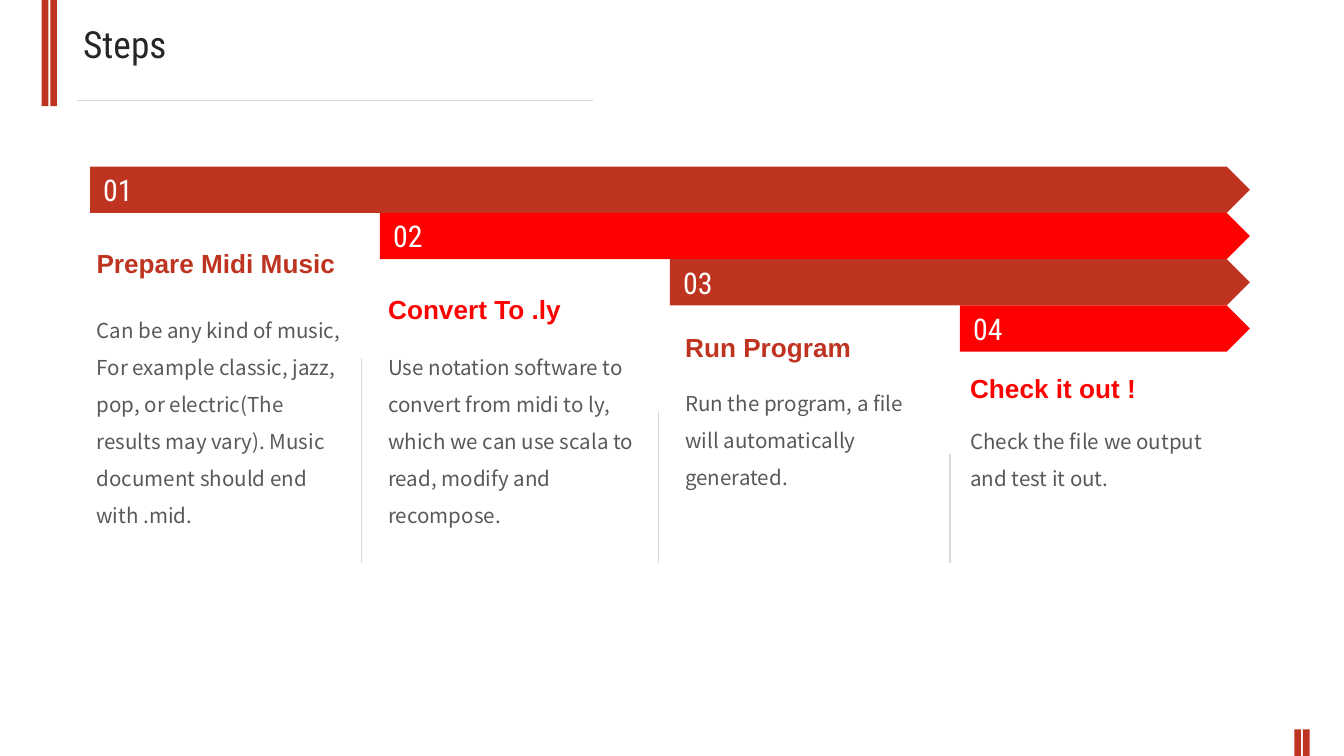
from pptx import Presentation, util as u
from pptx.dml.color import RGBColor
from pptx.enum import shapes, text
from pptx.oxml import ns
from lxml import etree

BRICK, RED, WHITE = "BF3420", "FF0000", "FFFFFF"
INK, GREY, RULE = "262626", "595959", "D9D9D9"
CONDENSED, BOLD_FACE, BODY_FACE = "Roboto Condensed", "Arial", "Noto Sans CJK SC"


def colour(hex_value):
    return RGBColor.from_string(hex_value)


def write(frame, *paragraphs, size, face, ink, bold=False, spacing=None,
          anchor=text.MSO_ANCHOR.TOP):
    frame.word_wrap = True
    frame.vertical_anchor = anchor
    for number, words in enumerate(paragraphs):
        paragraph = frame.add_paragraph() if number else frame.paragraphs[0]
        paragraph.alignment = text.PP_ALIGN.LEFT
        if spacing:
            paragraph.line_spacing = spacing
        run = paragraph.add_run()
        run.text = words
        run.font.size = u.Pt(size)
        run.font.name = face
        run.font.bold = bold
        run.font.color.rgb = colour(ink)


class Board:
    """Draws on one slide; every length is a percentage of its width or height."""

    def __init__(self, deck):
        self.width, self.height = deck.slide_width, deck.slide_height
        self.slide = deck.slides.add_slide(deck.slide_layouts[6])

    def place(self, x, y):
        return round(self.width * x / 100), round(self.height * y / 100)

    def block(self, x, y, w, h, fill, kind=shapes.MSO_SHAPE.RECTANGLE):
        block = self.slide.shapes.add_shape(kind, *self.place(x, y), *self.place(w, h))
        block.shadow.inherit = False
        block.fill.solid()
        block.fill.fore_color.rgb = colour(fill)
        block.line.fill.background()
        return block

    def arrow(self, x, y, w, h, fill, label):
        arrow = self.block(x, y, w, h, fill, shapes.MSO_SHAPE.PENTAGON)
        write(arrow.text_frame, label, size=16, face=CONDENSED, ink=WHITE,
              anchor=text.MSO_ANCHOR.MIDDLE)

    def words(self, x, y, w, h, *paragraphs, **style):
        box = self.slide.shapes.add_textbox(*self.place(x, y), *self.place(w, h))
        write(box.text_frame, *paragraphs, **style)

    def rule(self, x1, y1, x2, y2):
        rule = self.slide.shapes.add_connector(
            shapes.MSO_CONNECTOR.STRAIGHT, *self.place(x1, y1), *self.place(x2, y2))
        rule.line.color.rgb = colour(RULE)
        rule.line.width = u.Pt(0.75)
        etree.SubElement(rule._element.spPr, ns.qn("a:effectLst"))


# heading, body paragraphs, body lines, text left, heading top, body top
STEPS = [
    ("Prepare Midi Music",
     ["Can be any kind of music,",
      "For example classic, jazz, pop, or electric(The results may vary). "
      "Music document should end with .mid."], 6, 6.2, 31.8, 39.5),
    ("Convert To .ly",
     ["Use notation software to convert from midi to ly, which we can use "
      "scala to read, modify and recompose."], 5, 27.9, 37.9, 44.4),
    ("Run Program",
     ["Run the program, a file will automatically generated."], 3, 50, 43, 49.2),
    ("Check it out !",
     ["Check the file we output and test it out."], 2, 71.2, 48.4, 54.2),
]
DIVIDERS = [(26.9, 47.3), (49, 54.4), (70.7, 60.1)]
DIVIDER_END = 74.5
ARROW_LEFT, ARROW_TIP, ARROW_TOP, ARROW_HEIGHT = 6.7, 93, 22.04, 6.12
TEXT_WIDTH = 20.7


def main():
    deck = Presentation()
    deck.slide_width = u.Inches(10)
    deck.slide_height = deck.slide_width * 9 // 16
    board = Board(deck)

    for left, top, height in [(3.1, 0, 14.04), (96.3, 96.5, 3.5)]:
        for offset in (0, 0.64):
            board.block(left + offset, top, 0.5, height, BRICK)
    board.rule(5.7, 13.3, 44.1, 13.3)
    board.words(5.2, 1.96, 42.3, 7.8, "Steps", size=20, face=CONDENSED, ink=INK)

    step_width = (ARROW_TIP - ARROW_LEFT) / len(STEPS)
    for index, (heading, body, lines, left, heading_top, body_top) in enumerate(STEPS):
        accent = (BRICK, RED)[index % 2]
        start = ARROW_LEFT + index * step_width
        board.arrow(start, ARROW_TOP + index * ARROW_HEIGHT, ARROW_TIP - start,
                    ARROW_HEIGHT, accent, f"{index + 1:02}")
        board.words(left, body_top, TEXT_WIDTH, 1.6 + 5 * lines, *body,
                    size=11, face=BODY_FACE, ink=GREY, spacing=1.5)
        board.words(left, heading_top, TEXT_WIDTH, 6, heading,
                    size=14, face=BOLD_FACE, ink=accent, bold=True)

    for x, top in DIVIDERS:
        board.rule(x, top, x, DIVIDER_END)

    deck.save("out.pptx")


if __name__ == "__main__":
    main()
